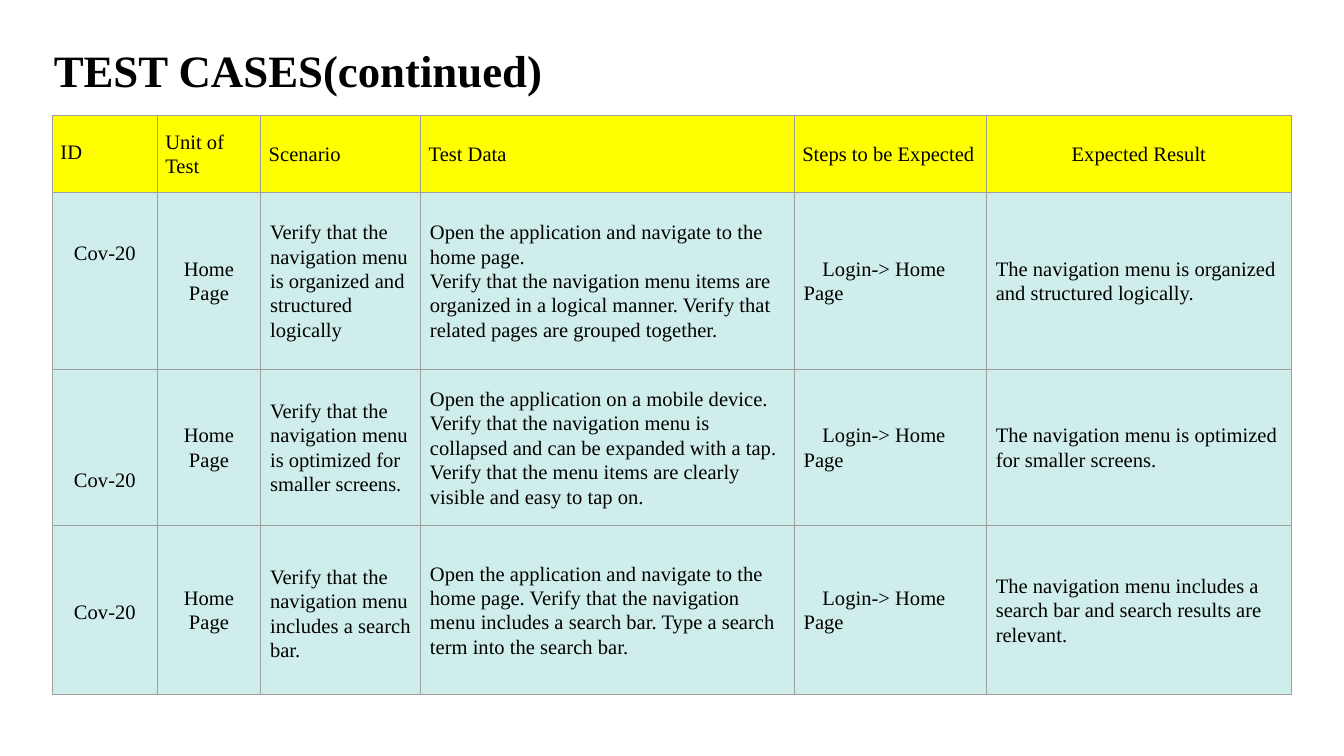
from dataclasses import dataclass

from lxml import etree
from pptx import Presentation
from pptx.dml.color import RGBColor
from pptx.enum import text
from pptx.oxml import ns
from pptx import util as u

BLACK = RGBColor(0x00, 0x00, 0x00)
WHITE = RGBColor(0xFF, 0xFF, 0xFF)
YELLOW = RGBColor(0xFF, 0xFF, 0x00)
MINT = RGBColor(0xCF, 0xED, 0xEB)
GREY = RGBColor(0x9E, 0x9E, 0x9E)

FONT = "Times New Roman"
LEFT, CENTER = text.PP_ALIGN.LEFT, text.PP_ALIGN.CENTER
PAGE_WIDTH = 10
PAGE_HEIGHT = PAGE_WIDTH * 9 / 16
COLUMN_WIDTHS = (0.78, 0.77, 1.19, 2.78, 1.43, 2.27)
HEADER_HEIGHT = 0.57
HEADER_INSET, BODY_INSET = 0.06, 0.07


@dataclass(frozen=True)
class Entry:
    """Content of one cell; a drop places the text that far below the cell top."""
    paragraphs: tuple[str, ...]
    align: text.PP_ALIGN = LEFT
    drop: float | None = None
    indent: float = 0


@dataclass(frozen=True)
class TestCase:
    height: float
    id_drop: float
    scenario: str
    test_data: tuple[str, ...]
    result: str
    scenario_drop: float | None = None

    def entries(self) -> list[Entry]:
        return [
            Entry(("Cov-20",), CENTER, self.id_drop),
            Entry(("Home Page",), CENTER),
            Entry((self.scenario,), drop=self.scenario_drop),
            Entry(self.test_data),
            Entry(("Login-> Home Page",), indent=0.14),
            Entry((self.result,)),
        ]


HEADER = [
    Entry(("ID",), drop=0.18),
    Entry(("Unit of Test",)),
    Entry(("Scenario",)),
    Entry(("Test Data",)),
    Entry(("Steps to be Expected",)),
    Entry(("Expected Result",), CENTER),
]

TEST_CASES = [
    TestCase(
        1.32, 0.36,
        "Verify that the navigation menu is organized and structured logically",
        ("Open the application and navigate to the home page.",
         "Verify that the navigation menu items are organized in a logical manner. "
         "Verify that related pages are grouped together."),
        "The navigation menu is organized and structured logically.",
    ),
    TestCase(
        1.16, 0.73,
        "Verify that the navigation menu is optimized for smaller screens.",
        ("Open the application on a mobile device. Verify that the navigation menu "
         "is collapsed and can be expanded with a tap. Verify that the menu items "
         "are clearly visible and easy to tap on.",),
        "The navigation menu is optimized for smaller screens.",
    ),
    TestCase(
        1.26, 0.55,
        "Verify that the navigation menu includes a search bar.",
        ("Open the application and navigate to the home page. Verify that the "
         "navigation menu includes a search bar. Type a search term into the "
         "search bar.",),
        "The navigation menu includes a search bar and search results are relevant.",
        scenario_drop=0.29,
    ),
]


def add_span(para, words: str, size: float, bold: bool = False) -> None:
    span = para.add_run()
    span.text = words
    span.font.name = FONT
    span.font.size = u.Pt(size)
    span.font.bold = bold
    span.font.color.rgb = BLACK


def add_borders(cell) -> None:
    properties = cell._tc.get_or_add_tcPr()
    for side in ("a:lnL", "a:lnR", "a:lnT", "a:lnB"):
        line = etree.SubElement(properties, ns.qn(side), w=str(u.Pt(0.75)))
        fill = etree.SubElement(line, ns.qn("a:solidFill"))
        etree.SubElement(fill, ns.qn("a:srgbClr"), val=str(GREY))


def fill_cell(cell, entry: Entry, color: RGBColor, inset: float) -> None:
    add_borders(cell)
    cell.fill.solid()
    cell.fill.fore_color.rgb = color
    cell.margin_left = cell.margin_right = u.Inches(inset)
    cell.margin_top = u.Inches(entry.drop or 0)
    cell.margin_bottom = 0
    cell.vertical_anchor = (text.MSO_ANCHOR.MIDDLE if entry.drop is None
                            else text.MSO_ANCHOR.TOP)
    for index, words in enumerate(entry.paragraphs):
        frame = cell.text_frame
        para = frame.add_paragraph() if index else frame.paragraphs[0]
        para.alignment = entry.align
        para.line_spacing = 1.07
        if entry.indent:
            para._p.get_or_add_pPr().set("indent", str(u.Inches(entry.indent)))
        add_span(para, words, 11)


def format_title(title) -> None:
    title.left, title.top = u.Inches(0.3), u.Inches(0.27)
    title.width, title.height = u.Inches(5), u.Inches(0.5)
    frame = title.text_frame
    frame.word_wrap = True
    frame.auto_size = text.MSO_AUTO_SIZE.NONE
    frame.vertical_anchor = text.MSO_ANCHOR.TOP
    frame.margin_left = frame.margin_right = u.Inches(0.1)
    frame.margin_top = frame.margin_bottom = u.Inches(0.05)
    para = frame.paragraphs[0]
    para.alignment = LEFT
    add_span(para, "TEST CASES(continued)", 24, bold=True)


def add_test_table(page) -> None:
    heights = [HEADER_HEIGHT] + [case.height for case in TEST_CASES]
    table = page.shapes.add_table(
        len(heights), len(COLUMN_WIDTHS), u.Inches(0.39), u.Inches(0.86),
        u.Inches(sum(COLUMN_WIDTHS)), u.Inches(sum(heights))).table
    table.first_row = table.horz_banding = False
    for column, width in zip(table.columns, COLUMN_WIDTHS):
        column.width = u.Inches(width)
    for row, height in zip(table.rows, heights):
        row.height = u.Inches(height)

    rows = [HEADER] + [case.entries() for case in TEST_CASES]
    for row_index, entries in enumerate(rows):
        color, inset = (MINT, BODY_INSET) if row_index else (YELLOW, HEADER_INSET)
        for column_index, entry in enumerate(entries):
            fill_cell(table.cell(row_index, column_index), entry, color, inset)


def main() -> None:
    deck = Presentation()
    deck.slide_width, deck.slide_height = u.Inches(PAGE_WIDTH), u.Inches(PAGE_HEIGHT)

    # Page with a plain background
    page = deck.slides.add_slide(deck.slide_layouts[5])
    page.background.fill.solid()
    page.background.fill.fore_color.rgb = WHITE

    # Title and table of test cases
    format_title(page.shapes.title)
    add_test_table(page)

    deck.save("out.pptx")


if __name__ == "__main__":
    main()
